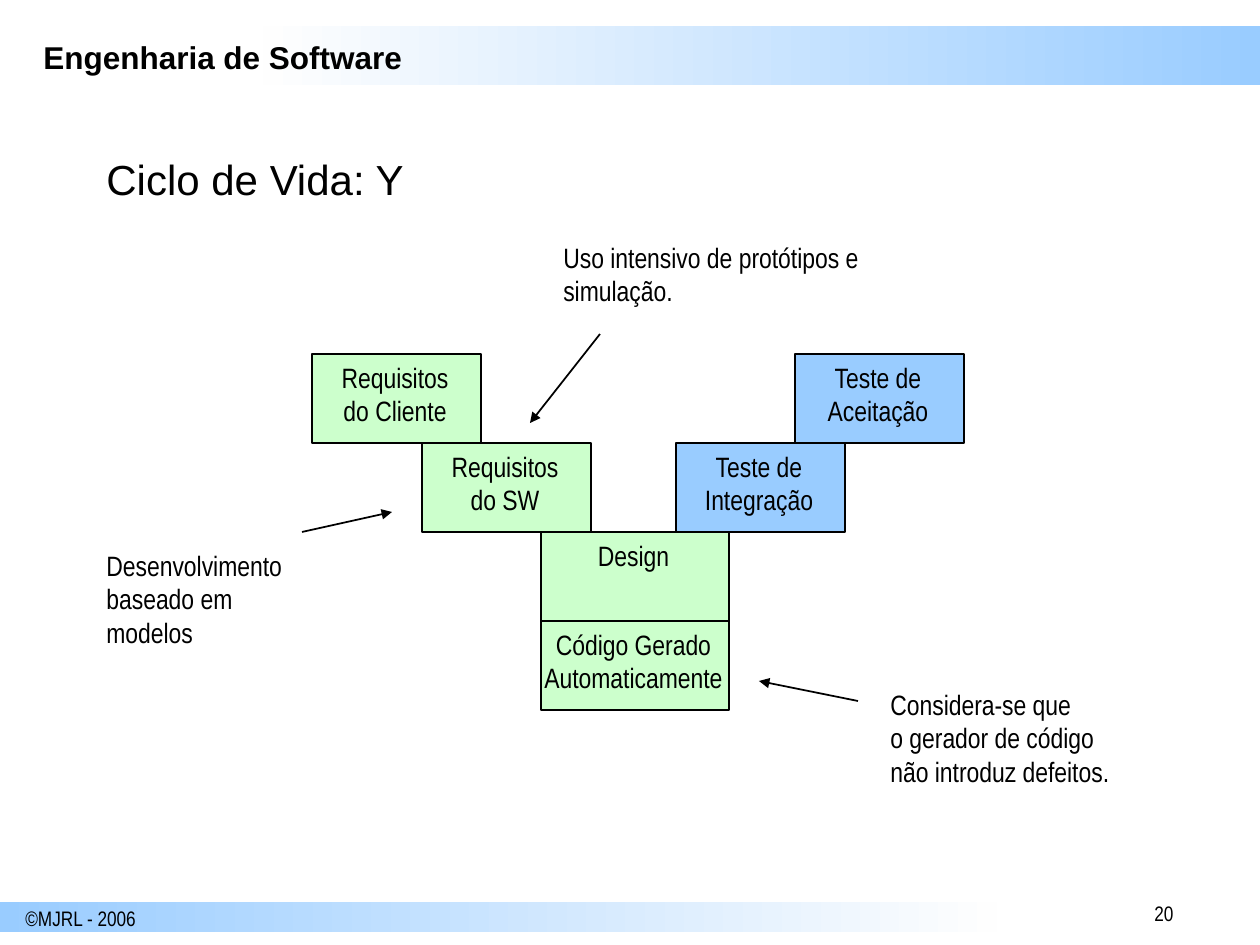
from dataclasses import dataclass

from lxml import etree
from pptx import Presentation, util as u
from pptx.dml.color import RGBColor
from pptx.enum import shapes, text
from pptx.oxml.ns import qn

SCALE = u.Inches(1) / 126
ROW_TOP, ROW_STEP = 354, 89


@dataclass(frozen=True)
class Theme:
    ink: str = "000000"
    pale: str = "FEFEFE"
    blue: str = "99CCFF"
    green: str = "CCFFCC"
    sans: str = "Arial"
    slim: str = "Arial Narrow"
    title: int = 24
    head: int = 18
    body: int = 16
    foot: int = 12
    line: int = 1


THEME = Theme()


def px(*vals):
    return [u.Emu(round(val * SCALE)) for val in vals]


def rgb(code):
    return RGBColor.from_string(code)


def write(frame, lines, size, face, align=text.PP_ALIGN.LEFT, bold=False):
    """Put each line in its own paragraph."""
    frame.text = "\n".join(lines)
    for par in frame.paragraphs:
        par.alignment = align
        font = par.font
        font.size, font.name, font.bold = u.Pt(size), face, bold
        font.color.rgb = rgb(THEME.ink)


def add_rect(slide, box):
    rect = slide.shapes.add_shape(shapes.MSO_SHAPE.RECTANGLE, *px(*box))
    rect.shadow.inherit = False
    return rect


def add_band(slide, box, colors):
    """Add a bar that fades from left to right."""
    band = add_rect(slide, box)
    band.line.fill.background()
    band.fill.gradient()
    band.fill.gradient_angle = 0
    for stop, code in zip(band.fill.gradient_stops, colors):
        stop.color.rgb = rgb(code)


def add_label(slide, box, lines, size=THEME.body, face=THEME.slim, bold=False):
    frame = slide.shapes.add_textbox(*px(*box)).text_frame
    frame.word_wrap = True
    write(frame, lines, size, face, bold=bold)


def add_stage(slide, left, row, width, color, lines):
    rect = add_rect(slide, (left, ROW_TOP + row * ROW_STEP, width, ROW_STEP))
    rect.fill.solid()
    rect.fill.fore_color.rgb = rgb(color)
    rect.line.color.rgb = rgb(THEME.ink)
    rect.line.width = u.Pt(THEME.line)
    frame = rect.text_frame
    frame.word_wrap = False
    frame.vertical_anchor = text.MSO_ANCHOR.TOP
    frame.margin_left, frame.margin_right = px(0, 3)
    write(frame, lines, THEME.body, THEME.slim, text.PP_ALIGN.CENTER)


def add_arrow(slide, ends):
    line = slide.shapes.add_connector(shapes.MSO_CONNECTOR.STRAIGHT, *px(*ends))
    line.line.color.rgb = rgb(THEME.ink)
    line.line.width = u.Pt(THEME.line)
    etree.SubElement(line.line._get_or_add_ln(), qn("a:tailEnd"), type="triangle")
    etree.SubElement(line._element.spPr, qn("a:effectLst"))


def add_frame(slide):
    """Add the header and footer."""
    add_band(slide, (263, 26, 997, 59), (THEME.pale, THEME.blue))
    add_label(slide, (31, 32, 609, 50), ["Engenharia de Software"],
              THEME.head, THEME.sans, bold=True)
    add_label(slide, (1142, 894, 103, 38), ["20"], THEME.foot)
    add_band(slide, (0, 902, 997, 30), (THEME.blue, THEME.pale))
    add_label(slide, (13, 899, 150, 38), ["©MJRL - 2006"], THEME.foot)


def main():
    deck = Presentation()
    deck.slide_width, deck.slide_height = px(1260, 945)
    slide = deck.slides.add_slide(deck.slide_layouts[6])
    add_frame(slide)
    add_label(slide, (94, 147, 1071, 95), ["Ciclo de Vida: Y"],
              THEME.title, THEME.sans)

    stages = [
        (312, 0, 169, THEME.green, ["Requisitos", "do Cliente"]),
        (422, 1, 169, THEME.green, ["Requisitos", "do SW"]),
        (541, 2, 188, THEME.green, ["Design"]),
        (541, 3, 188, THEME.green, ["Código Gerado", "Automaticamente"]),
        (676, 1, 169, THEME.blue, ["Teste de", "Integração"]),
        (795, 0, 169, THEME.blue, ["Teste de", "Aceitação"]),
    ]
    for stage in stages:
        add_stage(slide, *stage)

    notes = [
        ((94, 542, 220, 113), ["Desenvolvimento", "baseado em", "modelos"],
         (302, 532, 392, 512)),
        ((878, 681, 260, 113),
         ["Considera-se que", "o gerador de código", "não introduz defeitos."],
         (858, 701, 759, 681)),
        ((551, 234, 340, 81), ["Uso intensivo de protótipos e", "simulação."],
         (600, 334, 530, 423)),
    ]
    for box, lines, ends in notes:
        add_label(slide, box, lines)
        add_arrow(slide, ends)
    deck.save("out.pptx")


if __name__ == "__main__":
    main()
